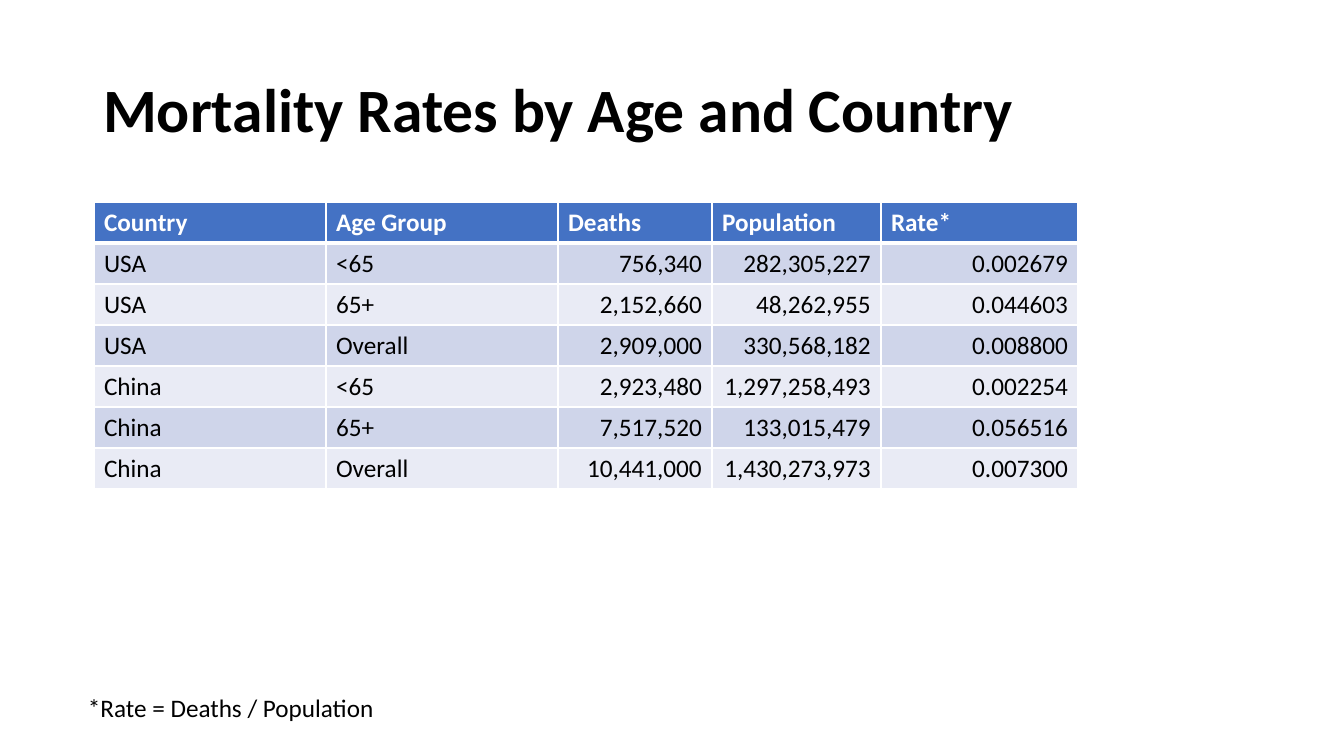
"""Build the slide of mortality rates by age and country."""
from dataclasses import dataclass

from lxml.etree import SubElement
from pptx import Presentation
from pptx.dml.color import RGBColor
from pptx.enum.text import MSO_ANCHOR as Anchor, MSO_AUTO_SIZE as AutoSize, PP_ALIGN as Align
from pptx.oxml.ns import qn
from pptx.util import Emu, Pt

EMU_PER_PIXEL = 914400 / 100.8
FONT = "Calibri"
BLACK, WHITE, HEADER_BLUE = "000000", "FFFFFF", "4472C4"
BANDS = ("CFD5EA", "E9EBF5")
ROW_HEIGHT = 41
THIN, THICK = 1, 3


@dataclass(frozen=True)
class Column:
    heading: str
    width: int
    align: Align = Align.LEFT
    level: int = 0


@dataclass(frozen=True)
class Box:
    left: int
    top: int
    width: int
    height: int

    def emu(self) -> tuple:
        return tuple(px(length) for length in (self.left, self.top, self.width, self.height))


COLUMNS = (
    Column("Country", 232),
    Column("Age Group", 232),
    Column("Deaths", 154, Align.RIGHT),
    Column("Population", 169, Align.RIGHT),
    Column("Rate*", 197, Align.RIGHT, level=1),
)
RECORDS = (
    ("USA", "<65", "756,340", "282,305,227", "0.002679"),
    ("USA", "65+", "2,152,660", "48,262,955", "0.044603"),
    ("USA", "Overall", "2,909,000", "330,568,182", "0.008800"),
    ("China", "<65", "2,923,480", "1,297,258,493", "0.002254"),
    ("China", "65+", "7,517,520", "133,015,479", "0.056516"),
    ("China", "Overall", "10,441,000", "1,430,273,973", "0.007300"),
)
TITLE_BOX = Box(93, 40, 1159, 146)
TABLE_BOX = Box(94, 202, sum(column.width for column in COLUMNS), ROW_HEIGHT * (len(RECORDS) + 1))
FOOTNOTE_BOX = Box(78, 687, 1159, 40)


def px(pixels: int) -> Emu:
    return Emu(round(pixels * EMU_PER_PIXEL))


def color(code: str) -> RGBColor:
    return RGBColor.from_string(code)


def add_run(paragraph, text: str, size: int = 18, code: str = BLACK, bold: bool = False) -> None:
    run = paragraph.add_run()
    run.text = text
    run.font.name = FONT
    run.font.size = Pt(size)
    run.font.bold = bold
    run.font.color.rgb = color(code)


def add_borders(cell, top: int, bottom: int) -> None:
    properties = cell._tc.get_or_add_tcPr()
    for side, points in (("L", THIN), ("R", THIN), ("T", top), ("B", bottom)):
        line = SubElement(properties, qn(f"a:ln{side}"), w=str(Pt(points)))
        fill = SubElement(line, qn("a:solidFill"))
        SubElement(fill, qn("a:srgbClr"), val=WHITE)


def format_cell(cell, fill_code: str, top: int = THIN, bottom: int = THIN) -> None:
    add_borders(cell, top, bottom)
    cell.fill.solid()
    cell.fill.fore_color.rgb = color(fill_code)


def add_title(slide) -> None:
    title = slide.shapes.title
    title.left, title.top, title.width, title.height = TITLE_BOX.emu()
    frame = title.text_frame
    frame.auto_size = AutoSize.NONE
    frame.vertical_anchor = Anchor.MIDDLE
    paragraph = frame.paragraphs[0]
    paragraph.alignment = Align.LEFT
    paragraph.line_spacing = 0.9
    add_run(paragraph, "Mortality Rates by Age and Country", 44, bold=True)


def add_rates_table(slide) -> None:
    table = slide.shapes.add_table(len(RECORDS) + 1, len(COLUMNS), *TABLE_BOX.emu()).table
    for row in table.rows:
        row.height = px(ROW_HEIGHT)
    for column_index, column in enumerate(COLUMNS):
        table.columns[column_index].width = px(column.width)
        header = table.cell(0, column_index)
        format_cell(header, HEADER_BLUE, bottom=THICK)
        add_run(header.text_frame.paragraphs[0], column.heading, code=WHITE, bold=True)
        for record_index, record in enumerate(RECORDS):
            cell = table.cell(record_index + 1, column_index)
            format_cell(cell, BANDS[record_index % 2], top=THIN if record_index else THICK)
            paragraph = cell.text_frame.paragraphs[0]
            paragraph.alignment = column.align
            paragraph.level = column.level
            add_run(paragraph, record[column_index])


def add_footnote(slide) -> None:
    frame = slide.shapes.add_textbox(*FOOTNOTE_BOX.emu()).text_frame
    frame.word_wrap = True
    frame.auto_size = AutoSize.SHAPE_TO_FIT_TEXT
    add_run(frame.paragraphs[0], "*Rate = Deaths / Population")


def main() -> None:
    presentation = Presentation()
    presentation.slide_width, presentation.slide_height = px(1344), px(756)
    slide = presentation.slides.add_slide(presentation.slide_layouts[5])
    add_title(slide)
    add_rates_table(slide)
    add_footnote(slide)
    presentation.save("out.pptx")


main()
